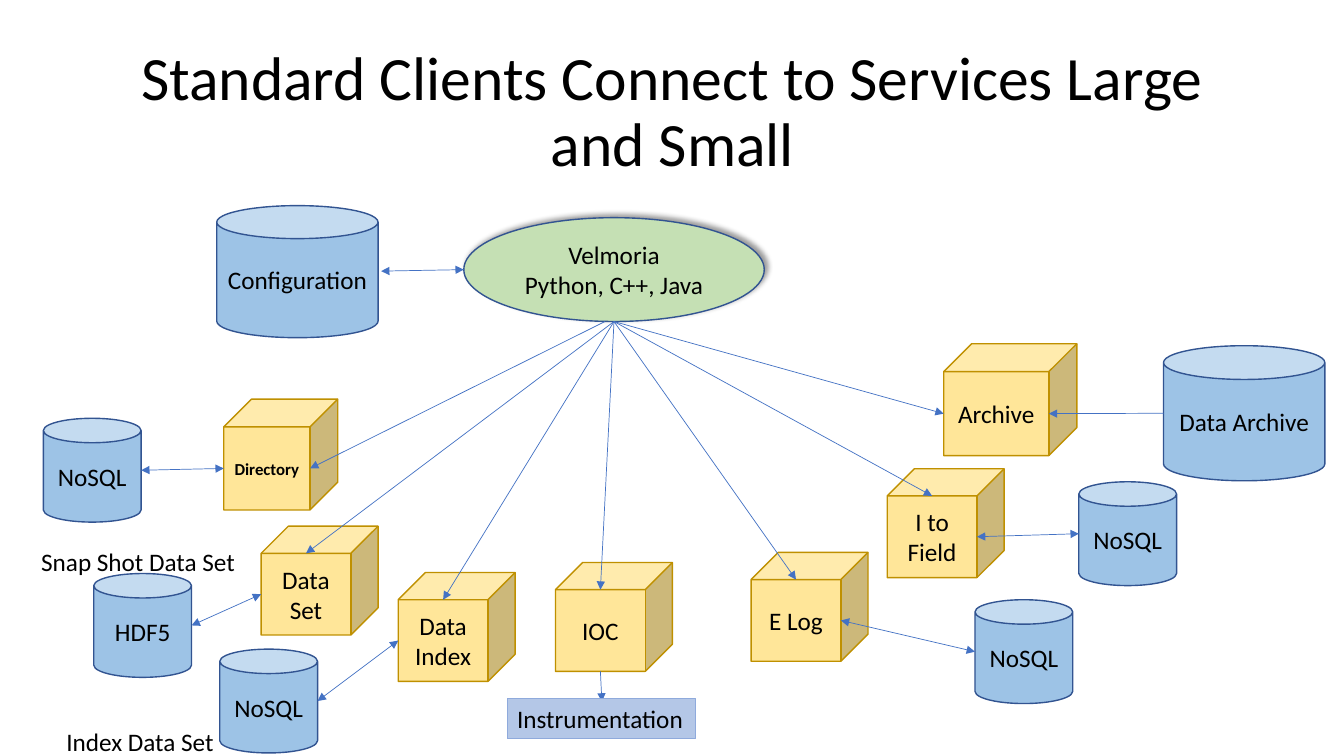
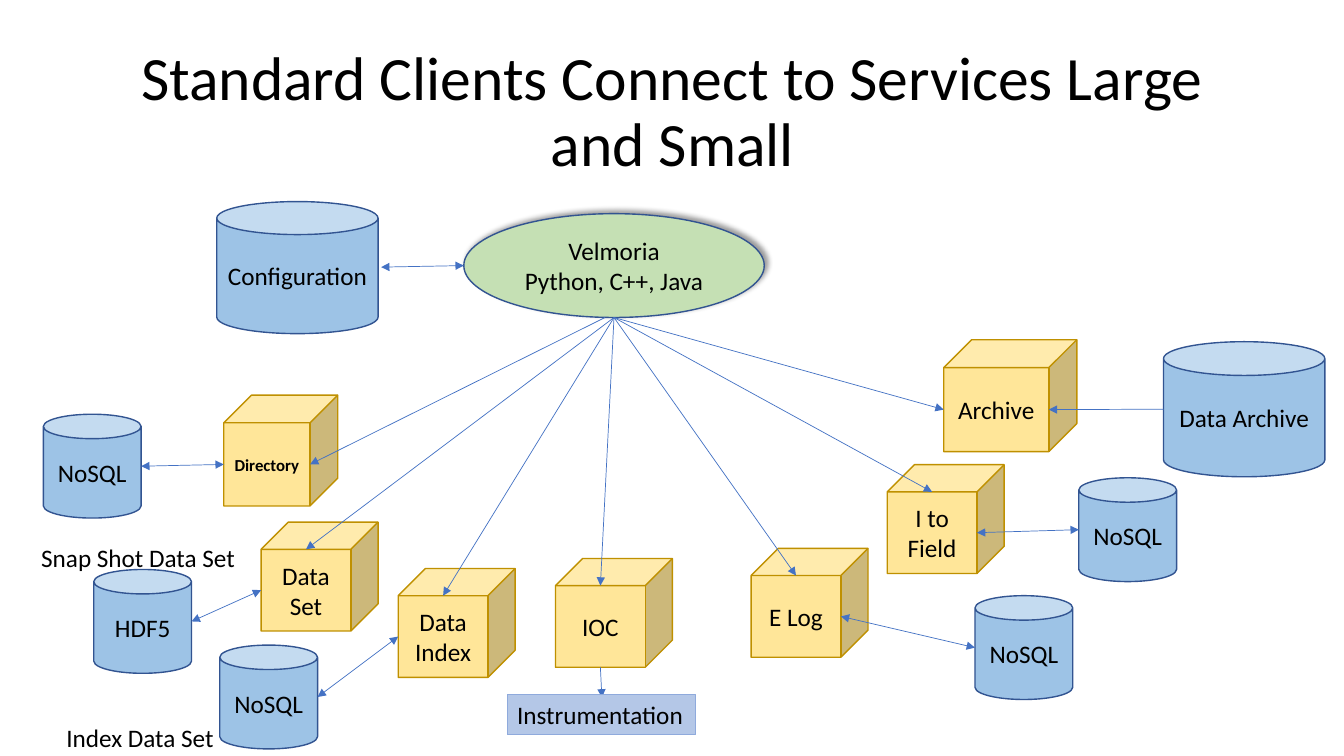
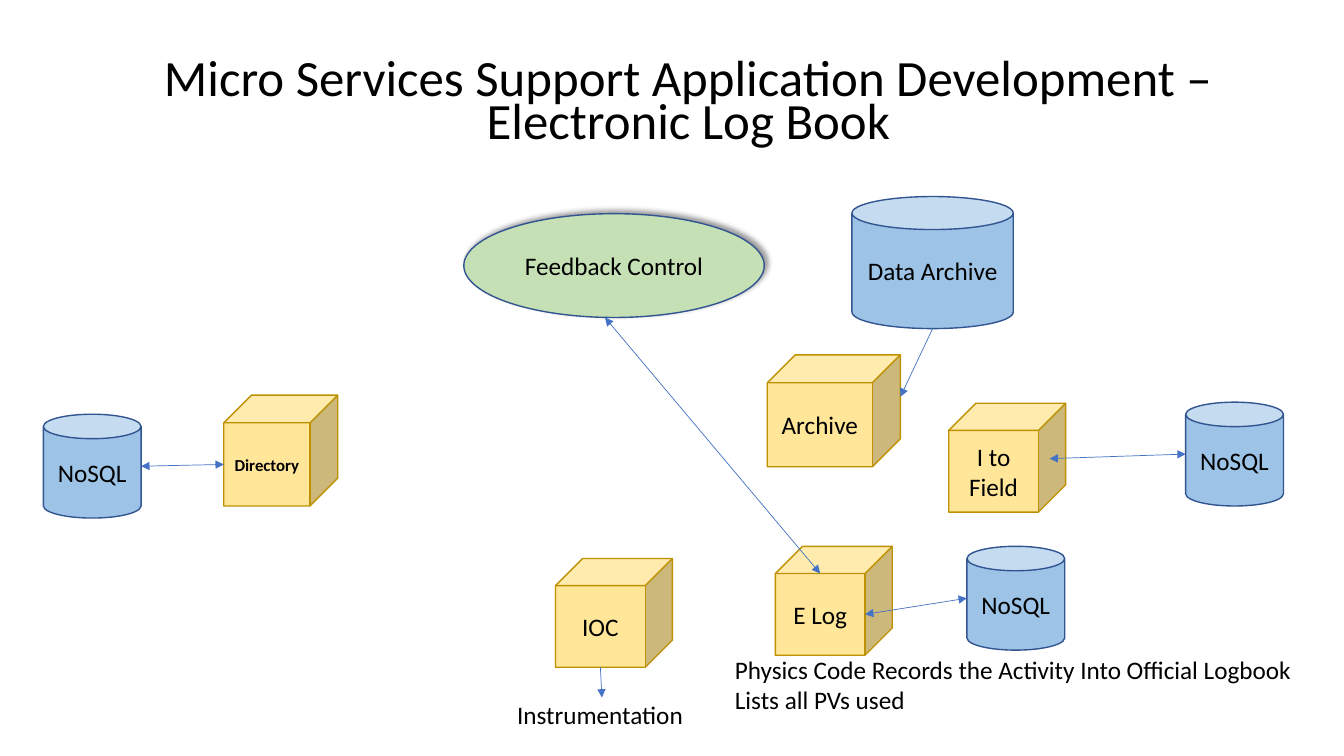
import dataclasses
import pptx
import pptx.util
import pptx.dml.color
import pptx.enum.shapes
import pptx.enum.text
import pptx.oxml
import pptx.oxml.ns

Pt = pptx.util.Pt
Shape = pptx.enum.shapes.MSO_SHAPE
Anchor = pptx.enum.text.MSO_ANCHOR
Align = pptx.enum.text.PP_ALIGN
Fit = pptx.enum.text.MSO_AUTO_SIZE
NS = pptx.oxml.ns.nsdecls("a")

# Slide grid: 133.3 columns by 75 rows
WIDE, HIGH = pptx.util.Inches(13.33), pptx.util.Inches(7.5)
COLS, ROWS = 133.3, 75


@dataclasses.dataclass(frozen=True)
class Theme:
    font: str = "Calibri"
    ink: str = "000000"
    wire: str = "4472C4"
    title: float = 44
    long: float = 36.3
    body: float = 18
    small: float = 12
    thin: float = 0.5
    edge: float = 1
    rim: float = 0.75


T = Theme()

# Look of each family: preset, fill, outline
LOOKS = {
    "cube": (Shape.CUBE, "FFE699", "BF9000"),
    "can": (Shape.CAN, "9DC3E6", "325491"),
    "oval": (Shape.OVAL, "C5E0B4", "325491"),
}
PANEL = ("B4C7E7", "8FAADC")

# Each kind: family, columns wide, rows high
KINDS = {
    "cube": ("cube", 11.6, 10.8),
    "file": ("cube", 11.3, 11),
    "store": ("cube", 13.2, 11.1),
    "can": ("can", 9.7, 10.3),
    "vat": ("can", 16, 13.1),
    "tank": ("can", 16, 13.4),
    "oval": ("oval", 29.8, 10.3),
}


def rgb(code):
    return pptx.dml.color.RGBColor.from_string(code)


def set_all(thing, **vals):
    for name, val in vals.items():
        setattr(thing, name, val)


def paint(shape, fill, line, weight):
    shape.fill.solid()
    shape.fill.fore_color.rgb = rgb(fill)
    shape.line.color.rgb = rgb(line)
    shape.line.width = Pt(weight)


def write(frame, text, size, align=Align.LEFT, bold=False, space=None, **vals):
    """Fill a text frame, one paragraph for each line."""
    frame.text = text
    set_all(frame, **vals)
    for para in frame.paragraphs:
        set_all(para, alignment=align, line_spacing=space)
        for run in para.runs:
            set_all(run.font, name=T.font, size=Pt(size), bold=bold)
            run.font.color.rgb = rgb(T.ink)


def sites(family, col, row, wide, high):
    """Points of a node where lines may end."""
    deep = min(wide, high) / 4 if family == "cube" else 0
    mid = col + (wide - deep) / 2
    face = row + deep + (high - deep) / 2
    return {
        "top": (mid, row + deep),
        "left": (col, face),
        "right": (col + wide - deep, face),
        "base": (mid, row + high),
        "side": (col + wide, row + (high - deep) / 2),
        "near": (col + wide * 0.47, row + high),
    }


@dataclasses.dataclass
class Area:
    """A region of a slide, whose origin is a grid cell."""
    slide: object
    col: float = 0
    row: float = 0
    nodes: dict = dataclasses.field(default_factory=dict)

    def spot(self, col, row):
        return (int((self.col + col) * WIDE / COLS),
                int((self.row + row) * HIGH / ROWS))

    def box(self, col, row, wide, high):
        return (*self.spot(col, row),
                int(wide * WIDE / COLS), int(high * HIGH / ROWS))

    def node(self, key, text, kind, col, row):
        family, wide, high = KINDS[kind]
        preset, fill, line = LOOKS[family]
        shape = self.slide.shapes.add_shape(
            preset, *self.box(col, row, wide, high))
        shape.shadow.inherit = False
        paint(shape, fill, line, T.edge)
        tag = kind == "file"
        write(shape.text_frame, text, T.small if tag else T.body,
              Align.CENTER, tag, word_wrap=True,
              vertical_anchor=Anchor.MIDDLE)
        if family == "oval":
            glow(shape)
        self.nodes[key] = sites(family, col, row, wide, high)

    def end(self, place):
        """A place is a grid point or the name node.site."""
        if isinstance(place, str):
            key, site = place.split(".")
            place = self.nodes[key][site]
        return self.spot(*place)

    def link(self, start, stop, both=False):
        line = self.slide.shapes.add_connector(
            pptx.enum.shapes.MSO_CONNECTOR.STRAIGHT,
            *self.end(start), *self.end(stop))
        line.line.color.rgb = rgb(T.wire)
        line.line.width = Pt(T.thin)
        pen = line.line._get_or_add_ln()
        for tip in ("headEnd", "tailEnd") if both else ("tailEnd",):
            pen.append(pptx.oxml.parse_xml(f'<a:{tip} {NS} type="triangle"/>'))
        line._element.spPr.append(pptx.oxml.parse_xml(f"<a:effectLst {NS}/>"))

    def label(self, text, *cells):
        note = self.slide.shapes.add_textbox(*self.box(*cells))
        write(note.text_frame, text, T.body, word_wrap=False,
              auto_size=Fit.SHAPE_TO_FIT_TEXT)
        return note


def glow(shape):
    """Soft shadow towards the upper right."""
    props = shape._element.spPr
    props.remove(props.find(pptx.oxml.ns.qn("a:effectLst")))
    props.append(pptx.oxml.parse_xml(
        f'<a:effectLst {NS}><a:outerShdw blurRad="{Pt(4)}" dist="{Pt(3)}" '
        f'dir="{315 * 60000}" algn="bl" rotWithShape="0">'
        f'<a:srgbClr val="{T.ink}"><a:alpha val="40000"/></a:srgbClr>'
        '</a:outerShdw></a:effectLst>'))


def start(deck, text, col, row, size, space, anchor):
    """New slide with its title set in a box of fixed size."""
    slide = deck.slides.add_slide(deck.slide_layouts[5])
    title = slide.shapes.title
    names = ("left", "top", "width", "height")
    set_all(title, **dict(zip(names, Area(slide).box(col, row, 115, 14.5))))
    write(title.text_frame, text, size, Align.CENTER, space=space,
          word_wrap=True, auto_size=Fit.NONE, vertical_anchor=anchor)
    return slide


def core(area, client):
    """Parts found in every diagram."""
    for item in (
        ("ioc", "IOC", "cube", 55.1, 55.4),
        ("names", "Directory", "file", 22.2, 39.2),
        ("names db", "NoSQL", "can", 4.3, 41.1),
        ("client", client, "oval", 46, 21.2),
    ):
        area.node(*item)
    area.link("names db.right", "names.left", True)
    area.link("ioc.base", (59.7, 69.2))
    return area.label("Instrumentation", 50.3, 68.9, 18.7, 4)


def services(area):
    """Client on top, all services fanned out below."""
    panel = core(area, "Velmoria\nPython, C++, Java")
    paint(panel, *PANEL, T.rim)
    for item in (
        ("field", "I to Field", "cube", 88, 46.1),
        ("field db", "NoSQL", "can", 107, 47.4),
        ("config", "Configuration", "vat", 21.5, 20),
        ("data", "Data Archive", "tank", 115.4, 33.9),
        ("store", "Archive", "store", 93.6, 33.7),
        ("log", "E Log", "cube", 74.5, 54.4),
        ("log db", "NoSQL", "can", 96.7, 59.1),
        ("set", "Data Set", "cube", 25.9, 51.8),
        ("set db", "HDF5", "can", 9.3, 56.5),
        ("index", "Data Index", "cube", 39.5, 56.4),
        ("index db", "NoSQL", "can", 21.8, 64),
    ):
        area.node(*item)

    # Services and their stores
    for first, last in (
        ("field.right", "field db.left"),
        ("log.right", "log db.left"),
        ("set db.right", "set.left"),
        ("index db.right", "index.left"),
        ((37.8, 26.5), "client.left"),
    ):
        area.link(first, last, True)
    area.link("data.left", "store.right")

    # Client to services
    area.link("client.near", "names.right")
    area.link("client.base", "store.left")
    for key in ("ioc", "log", "set", "index", "field"):
        area.link("client.base", key + ".top")

    area.label("Snap Shot Data Set", 3.1, 53.3, 21.5, 4)
    area.label("Index Data Set", 5.6, 71.2, 16.8, 4)


def logbook(area):
    """Feedback client that writes to the log."""
    core(area, "Feedback Control")
    for item in (
        ("field", "I to Field", "cube", 94.1, 40),
        ("field db", "NoSQL", "can", 117.6, 39.9),
        ("log", "E Log", "cube", 76.9, 54.2),
        ("log db", "NoSQL", "can", 95.9, 54.2),
        ("data", "Data Archive", "vat", 84.5, 19.5),
        ("store", "Archive", "store", 76.1, 35.2),
    ):
        area.node(*item)
    area.link((104.1, 45.5), "field db.left", True)
    area.link("log.right", "log db.left", True)
    area.link("client.near", "log.top", True)
    area.link("data.base", "store.side")
    area.label("Physics Code Records the Activity Into Official Logbook\n"
               "Lists all PVs used", 71.9, 64.4, 57.9, 7.1)


def main():
    deck = pptx.Presentation()
    set_all(deck, slide_width=WIDE, slide_height=HIGH)
    for row in (0.4, 0):
        slide = start(deck,
                      "Standard Clients Connect to Services Large and Small",
                      9.2, 4, T.title, 0.9, Anchor.MIDDLE)
        services(Area(slide, row=row))
    slide = start(deck, "Micro Services Support Application Development – "
                  "Electronic Log Book", 10.8, 5.7, T.long, 0.7, Anchor.TOP)
    logbook(Area(slide))
    deck.save("out.pptx")


if __name__ == "__main__":
    main()
